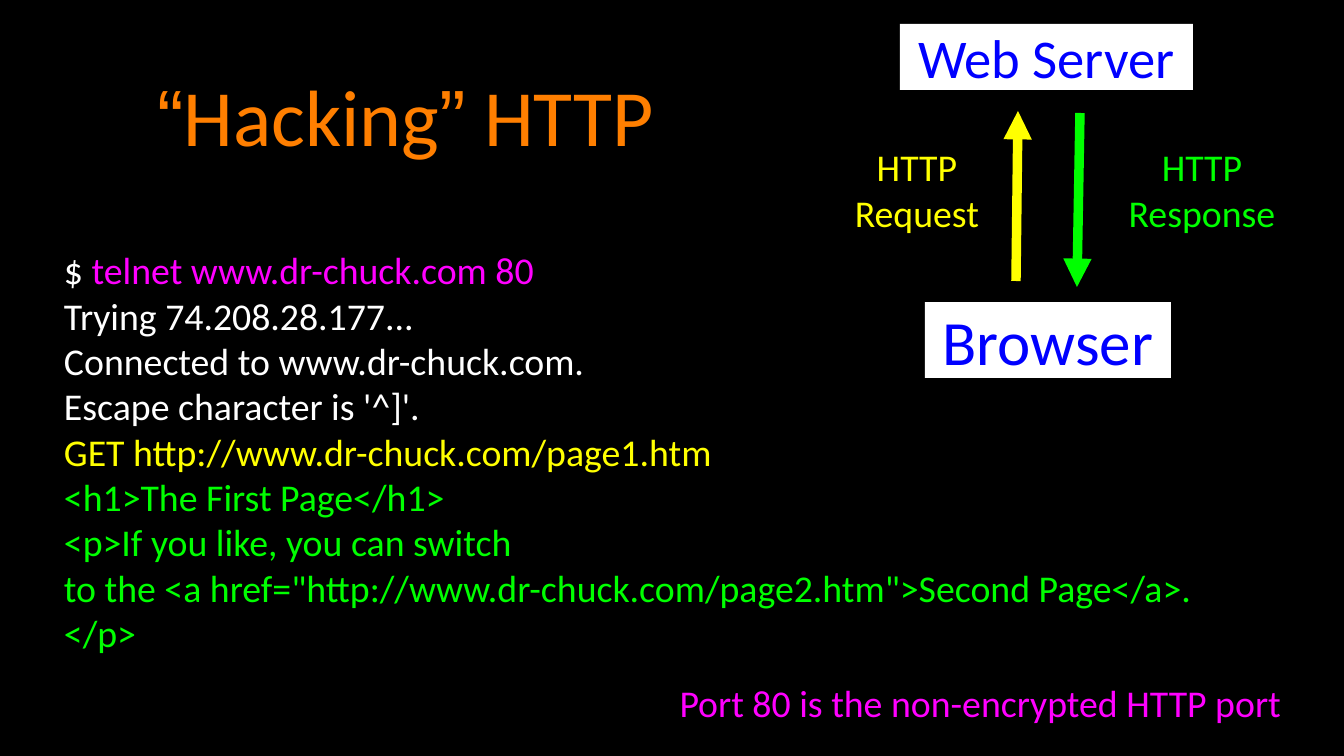
import pptx
import pptx.util
import pptx.dml.color
import pptx.enum.text
import pptx.enum.shapes
import pptx.oxml
import pptx.oxml.ns

PX = 16256000 / 1344
COLORS = {
    "black": "000000", "white": "FFFFFF", "orange": "FF7F00", "pink": "FF00FF",
    "yellow": "FFFF00", "green": "00FF00", "blue": "0000FF",
}
TITLE = [("“", "Arial"), ("Hacking", "Calibri"), ("”", "Arial"), (" HTTP", "Calibri")]
SESSION = [
    [("$ ", "white"), ("telnet www.dr-chuck.com 80", "pink")],
    [("Trying 74.208.28.177...", "white")],
    [("Connected to www.dr-chuck.com.", "white")],
    [("Escape character is '^]'.", "white")],
    [("GET http://www.dr-chuck.com/page1.htm", "yellow")],
    [("<h1>The First Page</h1>", "green")],
    [("<p>If you like, you can switch", "green")],
    [('to the <a href="http://www.dr-chuck.com/page2.htm">Second Page</a>.', "green")],
    [("</p>", "green")],
]
LABELS = [
    (["HTTP", "Request"], "yellow", (845, 144, 144, 91)),
    (["HTTP", "Response"], "green", (1116, 144, 172, 91)),
    (["Port 80 is the non-encrypted HTTP port"], "pink", (634, 680, 693, 45)),
]
NODES = [
    ("Browser", 60, (925, 302, 246, 76)),
    ("Web Server", 52, (900, 24, 293, 66)),
]
ARROWS = [
    ("yellow", (1018, 111), (1016, 281)),
    ("green", (1077, 287), (1080, 113)),
]


def px(*nums):
    return [pptx.util.Emu(round(n * PX)) for n in nums]


def rgb(name):
    return pptx.dml.color.RGBColor.from_string(COLORS[name])


def style(font, size, color, face="Calibri"):
    font.size = pptx.util.Pt(size)
    font.name = face
    font.color.rgb = rgb(color)


def frame(shape, wrap, pad=0):
    text = shape.text_frame
    text.word_wrap = wrap
    text.auto_size = pptx.enum.text.MSO_AUTO_SIZE.NONE
    text.vertical_anchor = pptx.enum.text.MSO_ANCHOR.MIDDLE
    inset = px(pad)[0]
    text.margin_left = text.margin_right = inset
    text.margin_top = text.margin_bottom = inset
    return text


def write(shape, lines, size, color):
    text = frame(shape, False)
    text.text = "\n".join(lines)
    for para in text.paragraphs:
        para.alignment = pptx.enum.text.PP_ALIGN.CENTER
        style(para.font, size, color)


def add_title(slide):
    title = slide.shapes.title
    title.left, title.top, title.width, title.height = px(95, 20, 621, 190)
    para = frame(title, True, 3).paragraphs[0]
    para.alignment = pptx.enum.text.PP_ALIGN.CENTER
    for word, face in TITLE:
        run = para.add_run()
        run.text = word
        style(run.font, 76, "orange", face)


def add_session(slide):
    text = frame(slide.shapes.add_textbox(*px(64, 210, 1198, 482)), True)
    for i, line in enumerate(SESSION):
        para = text.add_paragraph() if i else text.paragraphs[0]
        for words, color in line:
            run = para.add_run()
            run.text = words
            style(run.font, 36, color)


def add_node(slide, name, size, box):
    node = slide.shapes.add_shape(pptx.enum.shapes.MSO_SHAPE.RECTANGLE, *px(*box))
    node.shadow.inherit = False
    node.fill.solid()
    node.fill.fore_color.rgb = rgb("white")
    node.line.fill.background()
    write(node, [name], size, "blue")


def add_arrow(slide, color, tip, tail):
    kind = pptx.enum.shapes.MSO_CONNECTOR.STRAIGHT
    arrow = slide.shapes.add_connector(kind, *px(*tip, *tail))
    arrow.line.color.rgb = rgb(color)
    arrow.line.width = pptx.util.Pt(9)
    props = arrow._element.spPr
    head = pptx.oxml.ns.qn("a:headEnd")
    line = props.find(pptx.oxml.ns.qn("a:ln"))
    line.append(line.makeelement(head, {"type": "triangle"}))
    props.append(props.makeelement(pptx.oxml.ns.qn("a:effectLst"), {}))


def main():
    deck = pptx.Presentation()
    deck.slide_width, deck.slide_height = px(1344, 756)
    slide = deck.slides.add_slide(deck.slide_layouts[5])
    slide.background.fill.solid()
    slide.background.fill.fore_color.rgb = rgb("black")
    add_title(slide)
    add_session(slide)
    for lines, color, box in LABELS:
        write(slide.shapes.add_textbox(*px(*box)), lines, 36, color)
    for node in NODES:
        add_node(slide, *node)
    for arrow in ARROWS:
        add_arrow(slide, *arrow)
    deck.save("out.pptx")


if __name__ == "__main__":
    main()
